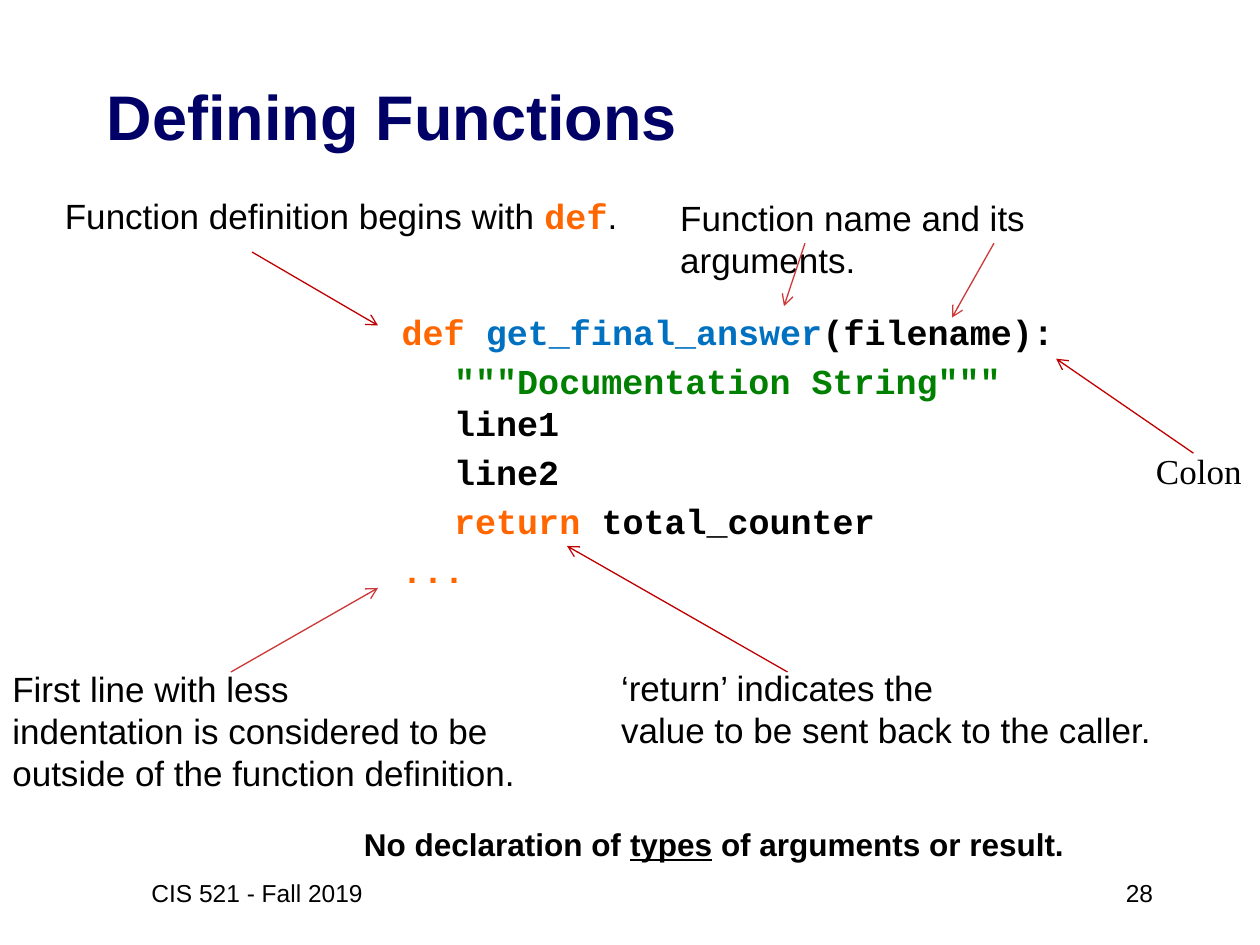
from dataclasses import dataclass

from lxml.etree import SubElement as Sub
from pptx import Presentation
from pptx.dml.color import RGBColor as RGB
from pptx.enum.shapes import MSO_CONNECTOR as Conn
from pptx.enum.text import MSO_ANCHOR as Anchor, PP_ALIGN as Align
from pptx.oxml.ns import qn
from pptx.util import Pt


@dataclass
class Theme:
    ink: str = "000000"
    navy: str = "000066"
    key: str = "FF6600"
    name: str = "0070C0"
    doc: str = "008000"
    red: str = "C00000"
    rose: str = "CE3838"
    sans: str = "Arial"
    mono: str = "Courier New"
    serif: str = "Times New Roman"
    head: int = 36
    body: int = 20
    note: int = 18
    foot: int = 14


T = Theme()
prs = Presentation()
prs.slide_width, prs.slide_height = Pt(720), Pt(540)
slide = prs.slides.add_slide(prs.slide_layouts[6])


def add_box(x, y, w, h, align=Align.LEFT, anchor=Anchor.TOP):
    frame = slide.shapes.add_textbox(Pt(x), Pt(y), Pt(w), Pt(h)).text_frame
    frame.word_wrap = True
    frame.vertical_anchor = anchor
    frame.paragraphs[0].alignment = align
    return frame


def add_run(para, text, size=T.body, color=T.ink, face=T.sans, bold=False):
    run = para.add_run()
    run.text = text
    font = run.font
    font.size, font.name, font.bold = Pt(size), face, bold
    font.color.rgb = RGB.from_string(color)
    return run


# Title
title = add_box(54, 48, 612, 36, anchor=Anchor.MIDDLE)
add_run(title.paragraphs[0], "Defining Functions", T.head, T.navy, bold=True)

# Closing remark
note = add_box(162, 468, 492, 30, Align.CENTER).paragraphs[0]
for text, under in (
    ("No declaration of ", False),
    ("types", True),
    (" of arguments or result.", False),
):
    add_run(note, text, T.note, bold=True).font.underline = under

# Code sample: left margin, then coloured runs; None breaks the line
code = (
    (72, ("def ", T.key), ("get_final_answer", T.name), ("(filename):", T.ink)),
    (102, ('"""Documentation String"""', T.doc), None, ("line1", T.ink)),
    (102, ("line2", T.ink)),
    (102, ("return ", T.key), ("total_counter", T.ink)),
    (72, ("...", T.key)),
)
frame = add_box(150.5, 174, 510, 108)
for i, (left, *runs) in enumerate(code):
    para = frame.add_paragraph() if i else frame.paragraphs[0]
    para.space_before = Pt(4)
    para._p.get_or_add_pPr().set("marL", str(Pt(left)))
    for run in runs:
        if run:
            add_run(para, run[0], color=run[1], face=T.mono, bold=True)
        else:
            para.add_line_break()

# Callout on the keyword
intro = add_box(30, 107.5, 339, 31.5).paragraphs[0]
add_run(intro, "Function definition begins with ")
add_run(intro, "def", color=T.key, face=T.mono, bold=True)
add_run(intro, ".")

# Other callouts
left, right = Align.LEFT, Align.RIGHT
for x, y, w, h, align, face, lines in (
    (0, 378, 304.5, 80, left, T.sans,
     ("First line with less", "indentation is considered to be",
      "outside of the function definition.")),
    (381.6, 108.5, 300, 31, left, T.sans,
     ("Function name and its arguments.",)),
    (347.8, 377.5, 321, 55.5, left, T.sans,
     ("‘return’ indicates the", "value to be sent back to the caller.")),
    (579.6, 253.5, 137, 31.5, right, T.serif, ("Colon",)),
):
    para = add_box(x, y, w, h, align).paragraphs[0]
    for i, text in enumerate(lines):
        if i:
            para.add_line_break()
        add_run(para, text, face=face)

# Arrows from callouts to code
for x1, y1, x2, y2, color in (
    (132, 384, 216, 336, T.rose),
    (144, 144, 216, 186, T.red),
    (460, 139, 448, 175, T.rose),
    (568, 139, 544, 181.5, T.rose),
    (450, 384, 324, 312, T.red),
    (682, 259, 603.5, 205, T.red),
):
    line = slide.shapes.add_connector(
        Conn.STRAIGHT, Pt(x1), Pt(y1), Pt(x2), Pt(y2))
    line.line.color.rgb = RGB.from_string(color)
    line.line.width = Pt(0.75)
    Sub(line.line._get_or_add_ln(), qn("a:tailEnd"), type="arrow")
    Sub(line._element.spPr, qn("a:effectLst"))

# Footer
for x, w, align, text in (
    (516, 150, Align.RIGHT, "28"),
    (54, 186, Align.CENTER, "CIS 521 - Fall 2019"),
):
    foot = add_box(x, 492, w, 36, align, Anchor.MIDDLE)
    add_run(foot.paragraphs[0], text, T.foot)

prs.save("out.pptx")
